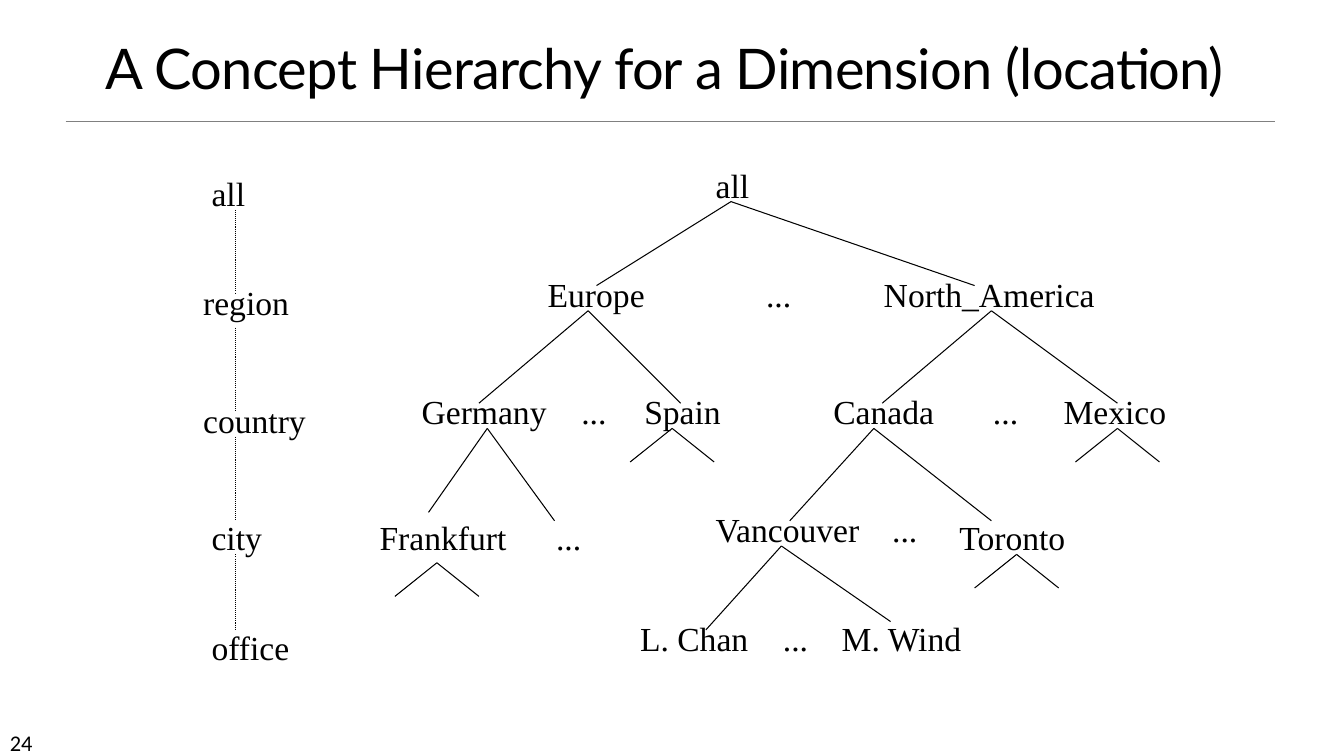
from pptx import Presentation
from pptx.util import Inches, Pt
from pptx.dml.color import RGBColor
from pptx.enum.dml import MSO_LINE
from pptx.enum.shapes import MSO_CONNECTOR
from pptx.enum.text import MSO_ANCHOR, MSO_AUTO_SIZE, PP_ALIGN
from pptx.oxml.ns import qn
from lxml import etree

STRAIGHT = MSO_CONNECTOR.STRAIGHT
DOTTED = MSO_LINE.ROUND_DOT
FIT = MSO_AUTO_SIZE.SHAPE_TO_FIT_TEXT
FIXED = MSO_AUTO_SIZE.NONE
BOTTOM = MSO_ANCHOR.BOTTOM
CENTER = PP_ALIGN.CENTER
COLORS = {"ink": "000000", "rule": "808080"}
CELL = Inches(1) / 12

deck = Presentation()
deck.slide_width, deck.slide_height = Inches(13.33), Inches(7.5)
slide = deck.slides.add_slide(deck.slide_layouts[5])


def write(shape, text, font, size):
    frame = shape.text_frame
    frame.text = text
    run = frame.paragraphs[0].runs[0]
    run.font.name, run.font.size = font, Pt(size)
    run.font.color.rgb = RGBColor.from_string(COLORS["ink"])
    return frame


def draw(start, end, color="ink", width=0.75, dash=None):
    ends = [round(n * CELL) for n in (*start, *end)]
    line = slide.shapes.add_connector(STRAIGHT, *ends)
    line.line.color.rgb = RGBColor.from_string(COLORS[color])
    line.line.width = Pt(width)
    if dash:
        line.line.dash_style = dash
    etree.SubElement(line._element.spPr, qn("a:effectLst"))


draw((7.8, 14.4), (151.8, 14.4), "rule", 0.5)

title = slide.shapes.title
title.left, title.top = Inches(0.38), Inches(0.31)
title.width, title.height = Inches(12.43), Inches(0.74)
frame = write(title, "A Concept Hierarchy for a Dimension (location)", "Lato", 40)
frame.vertical_anchor, frame.auto_size = BOTTOM, FIXED
head = frame.paragraphs[0]
head.alignment, head.line_spacing = CENTER, 0.85
head.runs[0].font._element.set("spc", "-50")

page = slide.shapes.add_textbox(0, Inches(7.18), Inches(1.17), Inches(0.3))
write(page, "24", "Calibri", 16).word_wrap = True

LABELS = [
    ("all", 24, 20, 0.53), ("region", 23, 33, 1.05),
    ("country", 23, 47, 1.22), ("city", 24, 61, 0.7),
    ("office", 24, 74, 0.98),
    ("all", 84, 19, 0.53),
    ("Europe", 64, 32, 1.16), ("...", 90, 32, 0.45),
    ("North_America", 104, 32, 2.29),
    ("Germany", 49, 46, 1.44), ("...", 68, 46, 0.45),
    ("Spain", 75.5, 46, 0.96), ("Canada", 98, 46, 1.2),
    ("...", 117, 46, 0.45), ("Mexico", 125.4, 46, 1.22),
    ("Frankfurt", 44, 61, 1.46), ("...", 65, 61, 0.45),
    ("Vancouver", 84, 60, 1.66), ("...", 105, 60, 0.45),
    ("Toronto", 113, 61, 1.27),
    ("L. Chan", 75, 73, 1.3), ("...", 92, 73, 0.45),
    ("M. Wind", 99, 73, 1.42),
]
for text, col, row, width in LABELS:
    box = slide.shapes.add_textbox(
        round(col * CELL), round(row * CELL), Inches(width), round(6 * CELL))
    frame = write(box, text, "Times New Roman", 24)
    frame.word_wrap, frame.auto_size = False, FIT

FORKS = [
    ((87, 24), (71, 34), (116, 34)),
    ((70, 37), (57, 48), (81, 48)),
    ((118, 37), (105, 48), (133, 48)),
    ((58, 51), (51, 61), (66, 62)),
    ((104, 51), (94, 62), (118, 62)),
    ((93, 65), (84, 75), (106, 74)),
]
for col, row in [(80, 51), (133, 51), (52, 67), (121, 66)]:
    FORKS.append(((col, row), (col - 5, row + 4), (col + 5, row + 4)))
for tip, left, right in FORKS:
    draw(tip, left)
    draw(tip, right)

for top, base in [(25, 35), (39, 49), (52, 62), (66, 75)]:
    draw((28, top), (28, base), dash=DOTTED)

deck.save("out.pptx")
